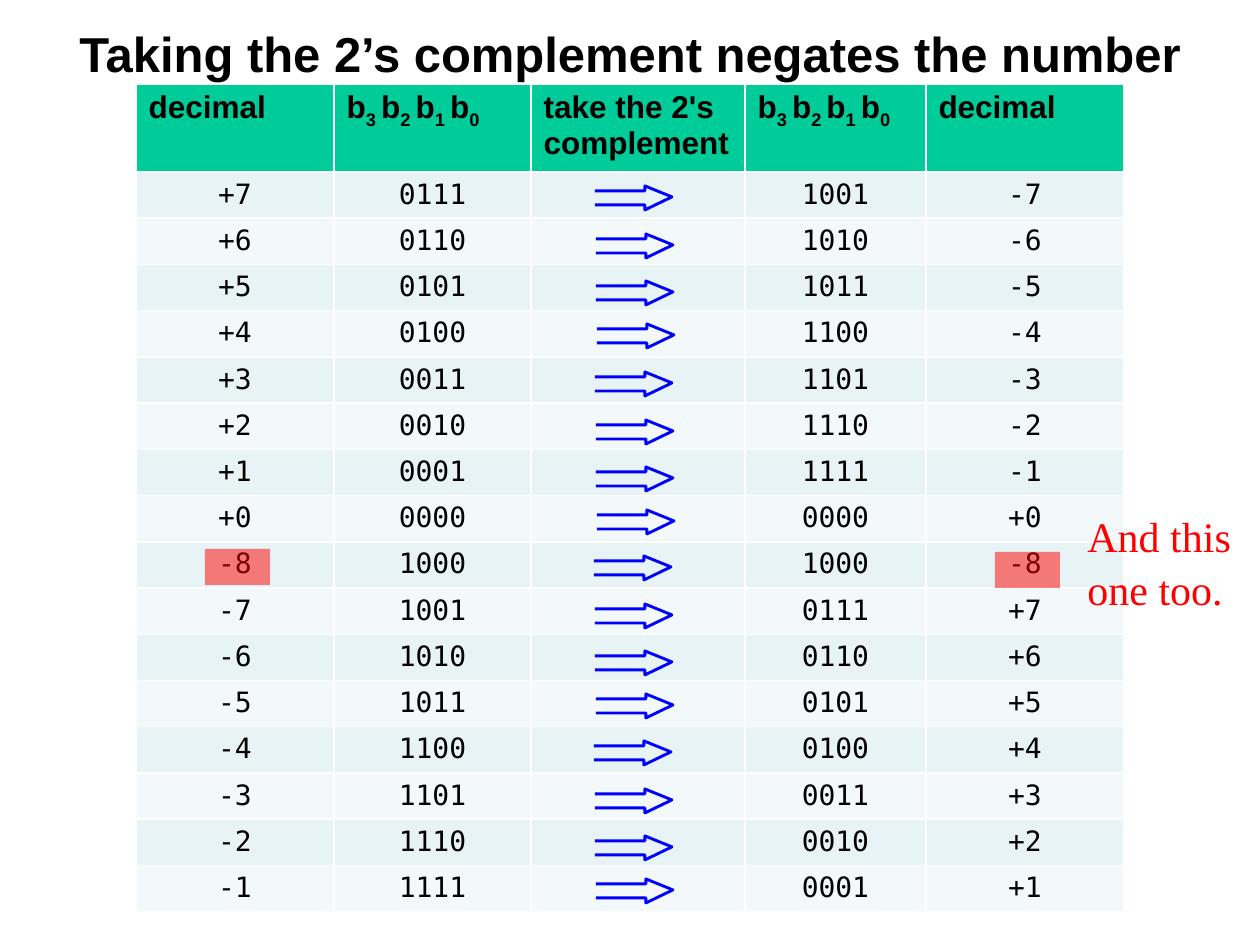
from lxml import etree
from pptx import Presentation
from pptx.dml.color import RGBColor
from pptx.enum.shapes import MSO_SHAPE
from pptx.enum.text import MSO_ANCHOR, PP_ALIGN
from pptx.oxml.ns import qn
from pptx.util import Pt

RECTANGLE = MSO_SHAPE.RECTANGLE
CENTER = PP_ALIGN.CENTER
TOP = MSO_ANCHOR.TOP

TITLE = "Taking the 2’s complement negates the number"
BITS = [("b", "3 "), ("b", "2 "), ("b", "1 "), ("b", "0")]
HEADERS = [[("decimal", "")], BITS, [("take the 2's complement", "")], BITS, [("decimal", "")]]
NUMBERS = [*range(7, -1, -1), *range(-8, 0)]
NOTE = ["And this", "one too."]

COLORS = {
    "text": "000000",
    "header": "00CC99",
    "odd": "E7F3F4",
    "even": "F3F9FA",
    "arrow": "0000FF",
    "accent": "FF0000",
}

PX = 914400 // 126
TABLE_LEFT, TABLE_TOP = 136, 84
COLUMN_WIDTHS = [198, 197, 214, 181, 198]
HEADER_HEIGHT, BODY_HEIGHT = 88, 740
ARROW_GROUPS = [(595, 186), (595, 372), (594, 556), (594, 741)]
ARROW_STEPS = [(0, 0), (1, 48), (1, 95), (2, 138)]
ARROW_OUTLINE = [(0, 19), (50, 19), (50, 24), (77, 11), (50, 0), (50, 5), (0, 5)]
HIGHLIGHTS = [(995, 552), (205, 549)]
HIGHLIGHT_SIZE = (65, 36)


def px(*lengths):
    return [length * PX for length in lengths]


def color(name):
    return RGBColor.from_string(COLORS[name])


def style(paragraph, face, size, color_name="text", bold=False):
    font = paragraph.font
    font.name, font.size, font.bold = face, Pt(size), bold
    font.color.rgb = color(color_name)


def fill_cell(cell, name):
    cell.fill.solid()
    cell.fill.fore_color.rgb = color(name)


def number_row(number):
    negated = (8 - number) % 16 - 8
    return [f"{number:+d}", f"{number & 15:04b}", "", f"{negated & 15:04b}", f"{negated:+d}"]


def add_title(slide):
    title = slide.shapes.title
    title.left, title.top, title.width, title.height = px(0, 10, 1260, 94)
    frame = title.text_frame
    frame.text = TITLE
    frame.vertical_anchor = TOP
    frame.margin_top = 13 * PX
    frame.paragraphs[0].alignment = CENTER
    style(frame.paragraphs[0], "Arial", 28, bold=True)


def add_number_table(slide):
    frame = slide.shapes.add_table(
        len(NUMBERS) + 1, len(HEADERS),
        *px(TABLE_LEFT, TABLE_TOP, sum(COLUMN_WIDTHS), HEADER_HEIGHT + BODY_HEIGHT))
    table = frame.table
    for column, width in zip(table.columns, COLUMN_WIDTHS):
        column.width = width * PX
    for row in table.rows:
        row.height = BODY_HEIGHT * PX // len(NUMBERS)
    table.rows[0].height = HEADER_HEIGHT * PX

    for column, parts in enumerate(HEADERS):
        cell = table.cell(0, column)
        fill_cell(cell, "header")
        paragraph = cell.text_frame.paragraphs[0]
        style(paragraph, "Arial", 18, bold=True)
        for base, subscript in parts:
            paragraph.add_run().text = base
            if subscript:
                run = paragraph.add_run()
                run.text = subscript
                run.font._element.set("baseline", "-25000")

    for row, number in enumerate(NUMBERS, 1):
        for column, value in enumerate(number_row(number)):
            cell = table.cell(row, column)
            fill_cell(cell, "odd" if row % 2 else "even")
            paragraph = cell.text_frame.paragraphs[0]
            paragraph.alignment = CENTER
            style(paragraph, "DejaVu Sans Mono", 16)
            if value:
                paragraph.add_run().text = value
            else:
                etree.SubElement(paragraph._p, qn("a:endParaRPr"), sz="1600")


def add_arrow(slide, left, top):
    points = [px(left + x, top + y) for x, y in ARROW_OUTLINE]
    builder = slide.shapes.build_freeform(*points[0])
    builder.add_line_segments(points[1:], close=False)
    arrow = builder.convert_to_shape()
    arrow.shadow.inherit = False
    arrow.fill.background()
    arrow.line.color.rgb = color("arrow")
    arrow.line.width = Pt(1.63)


def add_highlight(slide, left, top):
    highlight = slide.shapes.add_shape(RECTANGLE, *px(left, top, *HIGHLIGHT_SIZE))
    highlight.shadow.inherit = False
    highlight.line.fill.background()
    highlight.fill.solid()
    highlight.fill.fore_color.rgb = color("accent")
    tint = highlight._element.spPr.find(".//" + qn("a:srgbClr"))
    etree.SubElement(tint, qn("a:alpha"), val="50000")


def add_note(slide):
    frame = slide.shapes.add_textbox(*px(1075, 501, 181, 115)).text_frame
    frame.word_wrap = False
    frame.text = "\n".join(NOTE)
    for paragraph in frame.paragraphs:
        paragraph.line_spacing = 1.06
        style(paragraph, "Times New Roman", 24, "accent")


def main():
    deck = Presentation()
    deck.slide_width, deck.slide_height = px(1260, 945)
    slide = deck.slides.add_slide(deck.slide_layouts[5])
    add_title(slide)
    add_number_table(slide)
    for group_left, group_top in ARROW_GROUPS:
        for step_x, step_y in ARROW_STEPS:
            add_arrow(slide, group_left + step_x, group_top + step_y)
    for left, top in HIGHLIGHTS:
        add_highlight(slide, left, top)
    add_note(slide)
    deck.save("out.pptx")


if __name__ == "__main__":
    main()
